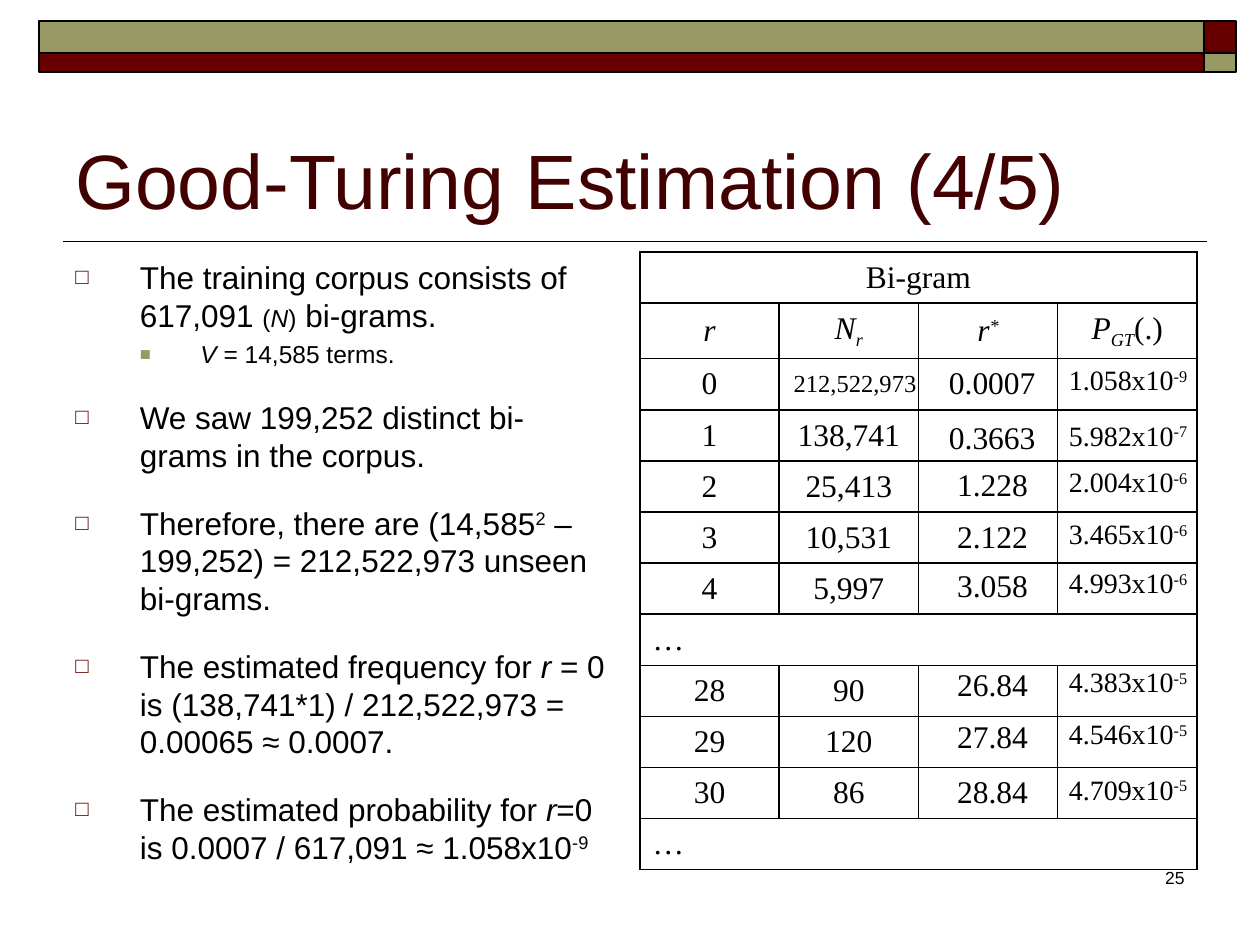
import dataclasses

import lxml.etree
import pptx
import pptx.dml.color
import pptx.enum.shapes
import pptx.enum.text
import pptx.oxml.ns
import pptx.util

Cm = pptx.util.Cm
Pt = pptx.util.Pt
qn = pptx.oxml.ns.qn
Align = pptx.enum.text.PP_ALIGN
Anchor = pptx.enum.text.MSO_ANCHOR


@dataclasses.dataclass(frozen=True)
class Theme:
    ink: str = "000000"
    title: str = "420000"
    maroon: str = "660000"
    olive: str = "999966"
    sans: str = "Arial"
    serif: str = "Times New Roman"
    title_size: int = 44
    body_size: int = 18
    power_size: int = 16
    small_size: int = 14
    number_size: int = 10


THEME = Theme()
ITALIC = {"italic": True}
SUPER = {"baseline": 30}
SUB = {"italic": True, "baseline": -25}

POINTS = [
    (0, 4, [("The training corpus consists of 617,091 ", {}),
            ("(", {"size": THEME.small_size}),
            ("N", {"size": THEME.small_size, "italic": True}),
            (")", {"size": THEME.small_size}), (" bi-grams.", {})]),
    (1, 3, [("V", ITALIC), (" = 14,585 terms.", {})]),
    (0, 17, [("We saw 199,252 distinct bi-grams in the corpus.", {})]),
    (0, 17, [("Therefore, there are (14,585", {}), ("2", SUPER),
             (" – 199,252) = 212,522,973 unseen bi-grams.", {})]),
    (0, 17, [("The estimated frequency for ", {}), ("r ", ITALIC),
             ("= 0 is (138,741*1) / 212,522,973 = 0.00065 ≈ 0.0007.", {})]),
    (0, 17, [("The estimated probability for ", {}), ("r", ITALIC),
             ("=0 is 0.0007 / 617,091 ≈ 1.058x10", {}), ("-9", SUPER)]),
]
LEVELS = [
    {"size": THEME.body_size, "left": 1.3, "hang": 1.3,
     "mark": "□", "color": THEME.maroon, "percent": 70},
    {"size": THEME.small_size, "left": 2.52, "hang": 1.22,
     "mark": "■", "color": THEME.olive, "percent": 75},
]
HEADINGS = [
    [("r", ITALIC)],
    [("N", ITALIC), ("r", SUB)],
    [("r", ITALIC), ("*", {"italic": True, "baseline": 30})],
    [("P", ITALIC), ("GT", SUB), ("(.)", {})],
]
COUNTS = [("0", ""), ("1", "138,741"), ("2", "25,413"), ("3", "10,531"),
          ("4", "5,997"), None, ("28", "90"), ("29", "120"), ("30", "86"), None]
ESTIMATES = [
    (2.11, "0.0007", "1.058", "-9"), (3.23, "0.3663", "5.982", "-7"),
    (4.17, "1.228", "2.004", "-6"), (5.21, "2.122", "3.465", "-6"),
    (6.2, "3.058", "4.993", "-6"), (8.2, "26.84", "4.383", "-5"),
    (9.25, "27.84", "4.546", "-5"), (10.36, "28.84", "4.709", "-5"),
]


def rgb(color):
    return pptx.dml.color.RGBColor.from_string(color)


def add_text(para, text, size=THEME.body_size, font=THEME.sans,
             color=THEME.ink, italic=False, baseline=0):
    span = para.add_run()
    span.text = text
    span.font.size = Pt(size)
    span.font.name = font
    span.font.italic = italic
    span.font.color.rgb = rgb(color)
    if baseline:
        span.font._element.set("baseline", str(baseline * 1000))


def add_spans(para, spans, **base):
    for text, style in spans:
        add_text(para, text, **{**base, **style})


def add_frame(page, box, wrap=True, anchor=Anchor.TOP):
    frame = page.shapes.add_textbox(*map(Cm, box)).text_frame
    frame.word_wrap = wrap
    frame.vertical_anchor = anchor
    return frame


def add_bar(page, box, color):
    bar = page.shapes.add_shape(
        pptx.enum.shapes.MSO_SHAPE.RECTANGLE, *map(Cm, box))
    bar.shadow.inherit = False
    bar.fill.solid()
    bar.fill.fore_color.rgb = rgb(color)
    bar.line.color.rgb = rgb(THEME.ink)
    bar.line.width = Pt(1)


def add_banner(page, box):
    left, top, width, height = box
    corner, upper = 0.64, 0.64
    columns = [(left, width - corner), (left + width - corner, corner)]
    rows = [(top, upper), (top + upper, height - upper)]
    for row, (y, tall) in enumerate(rows):
        for column, (x, wide) in enumerate(columns):
            color = THEME.olive if row == column == 0 or row == column == 1 else THEME.maroon
            add_bar(page, (x, y, wide, tall), color)


def add_title(page, box):
    left, top, width, height = box
    frame = add_frame(page, box, anchor=Anchor.BOTTOM)
    add_text(frame.paragraphs[0], "Good-Turing Estimation (4/5)",
             size=THEME.title_size, color=THEME.title)
    y = top + height + 0.22
    rule = page.shapes.add_connector(
        pptx.enum.shapes.MSO_CONNECTOR.STRAIGHT,
        Cm(left), Cm(y), Cm(left + width + 0.2), Cm(y))
    rule.line.color.rgb = rgb(THEME.ink)
    rule.line.width = Pt(1)
    lxml.etree.SubElement(rule._element.spPr, qn("a:effectLst"))


def set_bullet(para, level):
    props = para._p.get_or_add_pPr()
    props.set("marL", str(Cm(level["left"])))
    props.set("indent", str(-Cm(level["hang"])))
    color = lxml.etree.SubElement(props, qn("a:buClr"))
    lxml.etree.SubElement(color, qn("a:srgbClr"), val=level["color"])
    lxml.etree.SubElement(props, qn("a:buSzPct"), val=str(level["percent"] * 1000))
    lxml.etree.SubElement(props, qn("a:buFont"), typeface=THEME.sans)
    lxml.etree.SubElement(props, qn("a:buChar"), char=level["mark"])


def add_points(page, box):
    frame = add_frame(page, box)
    for index, (depth, gap, spans) in enumerate(POINTS):
        para = frame.add_paragraph() if index else frame.paragraphs[0]
        para.level = depth
        para.space_before = Pt(gap)
        set_bullet(para, LEVELS[depth])
        add_spans(para, spans, size=LEVELS[depth]["size"])


def set_borders(cell):
    props = cell._tc.get_or_add_tcPr()
    for index, side in enumerate(("lnL", "lnR", "lnT", "lnB")):
        line = lxml.etree.Element(qn("a:" + side), w=str(Pt(1)))
        fill = lxml.etree.SubElement(line, qn("a:solidFill"))
        lxml.etree.SubElement(fill, qn("a:srgbClr"), val=THEME.ink)
        props.insert(index, line)


def fill_cell(cell, spans, align=Align.CENTER):
    cell.vertical_anchor = Anchor.MIDDLE
    para = cell.text_frame.paragraphs[0]
    para.alignment = align
    add_spans(para, spans, font=THEME.serif)


def add_bigrams(page, box):
    grid = page.shapes.add_table(12, 4, *map(Cm, box)).table
    grid.first_row = grid.horz_banding = False
    for cell in grid.iter_cells():
        cell.fill.background()
        set_borders(cell)
    grid.cell(0, 0).merge(grid.cell(0, 3))
    fill_cell(grid.cell(0, 0), [("Bi-gram", {})])
    for column, spans in enumerate(HEADINGS):
        fill_cell(grid.cell(1, column), spans)
    for row, counts in enumerate(COUNTS, 2):
        if counts is None:
            grid.cell(row, 0).merge(grid.cell(row, 3))
            fill_cell(grid.cell(row, 0), [("…", {})], Align.LEFT)
            continue
        for column, text in enumerate(counts):
            if text:
                fill_cell(grid.cell(row, column), [(text, {})])


def add_value(page, box, spans, size):
    frame = add_frame(page, box, wrap=False)
    add_spans(frame.paragraphs[0], spans, size=size, font=THEME.serif)


def add_estimates(page, box):
    left, top = box[:2]
    add_value(page, (left + 2.85, top + 2.21, 3, 0.86),
              [("212,522,973", {})], THEME.small_size)
    for offset, count, factor, power in ESTIMATES:
        width = 2.28 if len(count) == 6 else 1.95
        add_value(page, (left + 7.12 - width / 2, top + offset, width, 1.02),
                  [(count, {})], THEME.body_size)
        add_value(page, (left + 8.4, top + offset, 2.97, 0.94),
                  [(factor + "x10", {}), (power, SUPER)], THEME.power_size)


def add_number(page, box):
    para = add_frame(page, box).paragraphs[0]
    para.alignment = Align.RIGHT
    add_text(para, "25", size=THEME.number_size)


deck = pptx.Presentation()
deck.slide_width, deck.slide_height = Cm(25.4), Cm(19.05)
page = deck.slides.add_slide(deck.slide_layouts[6])
table_box = (12.9, 5.08, 11.23, 12.37)
add_banner(page, (0.79, 0.43, 24.13, 1.02))
add_title(page, (1.27, 1.47, 22.86, 3.18))
add_points(page, (1.27, 5.08, 11.23, 11.94))
add_bigrams(page, table_box)
add_number(page, (18.85, 17.35, 5.28, 1.27))
add_estimates(page, table_box)
deck.save("out.pptx")
